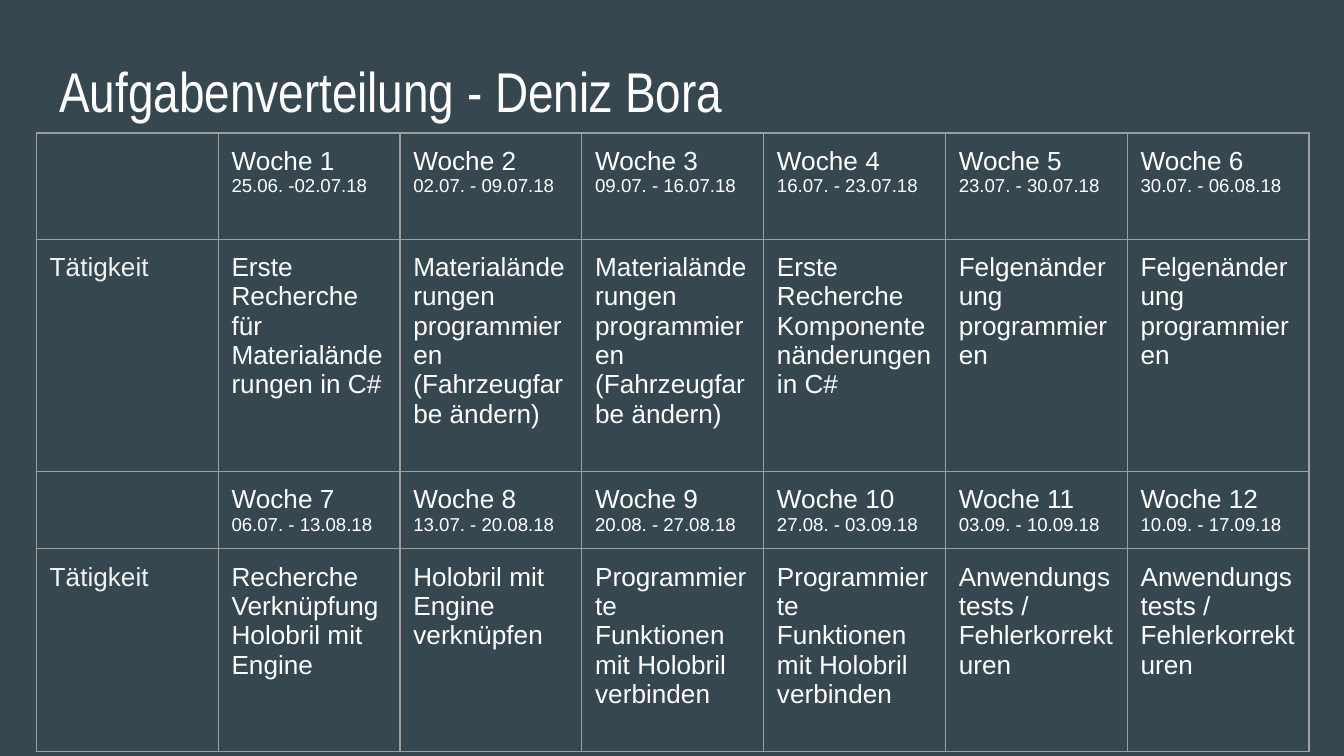
import pptx
import pptx.dml.color
import pptx.enum.text
import pptx.oxml
import pptx.oxml.ns
import pptx.util

SLATE = pptx.dml.color.RGBColor(0x37, 0x47, 0x4F)
WHITE = pptx.dml.color.RGBColor(0xFF, 0xFF, 0xFF)
PALE = pptx.dml.color.RGBColor(0xF3, 0xF3, 0xF3)
GRID = pptx.dml.color.RGBColor(0x9E, 0x9E, 0x9E)

WIDTH = 10
HEIGHT = WIDTH * 9 / 16
INSET = pptx.util.Inches(0.1)
ROW_HEIGHTS = (0.79, 1.73, 0.57, 1.51)

DATES = (
    ("25.06. -02.07.18", "02.07. - 09.07.18", "09.07. - 16.07.18",
     "16.07. - 23.07.18", "23.07. - 30.07.18", "30.07. - 06.08.18"),
    ("06.07. - 13.08.18", "13.07. - 20.08.18", "20.08. - 27.08.18",
     "27.08. - 03.09.18", "03.09. - 10.09.18", "10.09. - 17.09.18"),
)
MATERIALS = "Materialänderungen programmieren (Fahrzeugfarbe ändern)"
RIMS = "Felgenänderung programmieren"
FUNCTIONS = "Programmierte Funktionen mit Holobril verbinden"
TESTS = "Anwendungstests / Fehlerkorrekturen"
TASKS = (
    ("Erste Recherche für Materialänderungen in C#", MATERIALS, MATERIALS,
     "Erste Recherche Komponentenänderungen in C#", RIMS, RIMS),
    ("Recherche Verknüpfung Holobril mit Engine", "Holobril mit Engine verknüpfen",
     FUNCTIONS, FUNCTIONS, TESTS, TESTS),
)


def style_font(para, size, color=WHITE, name="Arial"):
    """Set the font of a whole paragraph."""
    para.font.name = name
    para.font.size = pptx.util.Pt(size)
    para.font.color.rgb = color


def set_insets(holder):
    """Give a cell or text frame equal margins."""
    holder.margin_left = holder.margin_right = INSET
    holder.margin_top = holder.margin_bottom = INSET


def add_title(page, text):
    """Place and fill the title placeholder."""
    box = page.shapes.title
    box.left, box.top = pptx.util.Inches(0.34), pptx.util.Inches(0.32)
    box.width, box.height = pptx.util.Inches(9.32), pptx.util.Inches(0.63)
    frame = box.text_frame
    frame.text = text
    frame.auto_size = pptx.enum.text.MSO_AUTO_SIZE.NONE
    frame.vertical_anchor = pptx.enum.text.MSO_ANCHOR.TOP
    set_insets(frame)
    para = frame.paragraphs[0]
    para.alignment = pptx.enum.text.PP_ALIGN.LEFT
    style_font(para, 30, name="Arial Narrow")


def outline_cell(cell):
    """Draw a thin line on all four sides of a cell without fill."""
    properties = cell._tc.get_or_add_tcPr()
    for side in ("lnL", "lnR", "lnT", "lnB"):
        properties.append(pptx.oxml.parse_xml(
            f'<a:{side} {pptx.oxml.ns.nsdecls("a")} w="{pptx.util.Pt(0.75)}">'
            f'<a:solidFill><a:srgbClr val="{GRID}"/></a:solidFill></a:{side}>'))
    cell.fill.background()


def fill_cell(cell, lines, color=WHITE):
    """Write a first line at 14 points and any second line at 10."""
    cell.text = "\n".join(lines)
    for para, size in zip(cell.text_frame.paragraphs, (14, 10)):
        style_font(para, size, color)


def add_schedule(page):
    """Add the table with two blocks of six weeks."""
    columns = len(DATES[0]) + 1
    table = page.shapes.add_table(
        len(ROW_HEIGHTS), columns, pptx.util.Inches(0.27), pptx.util.Inches(0.99),
        pptx.util.Inches(9.47), pptx.util.Inches(sum(ROW_HEIGHTS))).table
    table.first_row = table.horz_banding = False
    for row, height in zip(table.rows, ROW_HEIGHTS):
        row.height = pptx.util.Inches(height)
    for cell in table.iter_cells():
        set_insets(cell)
        outline_cell(cell)
    for block, (dates, tasks) in enumerate(zip(DATES, TASKS)):
        top = 2 * block
        fill_cell(table.cell(top + 1, 0), ["Tätigkeit"], PALE)
        for column, (date, task) in enumerate(zip(dates, tasks), start=1):
            week = block * len(dates) + column
            fill_cell(table.cell(top, column), [f"Woche {week}", date])
            fill_cell(table.cell(top + 1, column), [task])


def main():
    """Build and save the slide."""
    deck = pptx.Presentation()
    deck.slide_width = pptx.util.Inches(WIDTH)
    deck.slide_height = pptx.util.Inches(HEIGHT)
    page = deck.slides.add_slide(deck.slide_layouts.get_by_name("Title Only"))
    page.background.fill.solid()
    page.background.fill.fore_color.rgb = SLATE
    add_title(page, "Aufgabenverteilung - Deniz Bora")
    add_schedule(page)
    deck.save("out.pptx")


if __name__ == "__main__":
    main()
